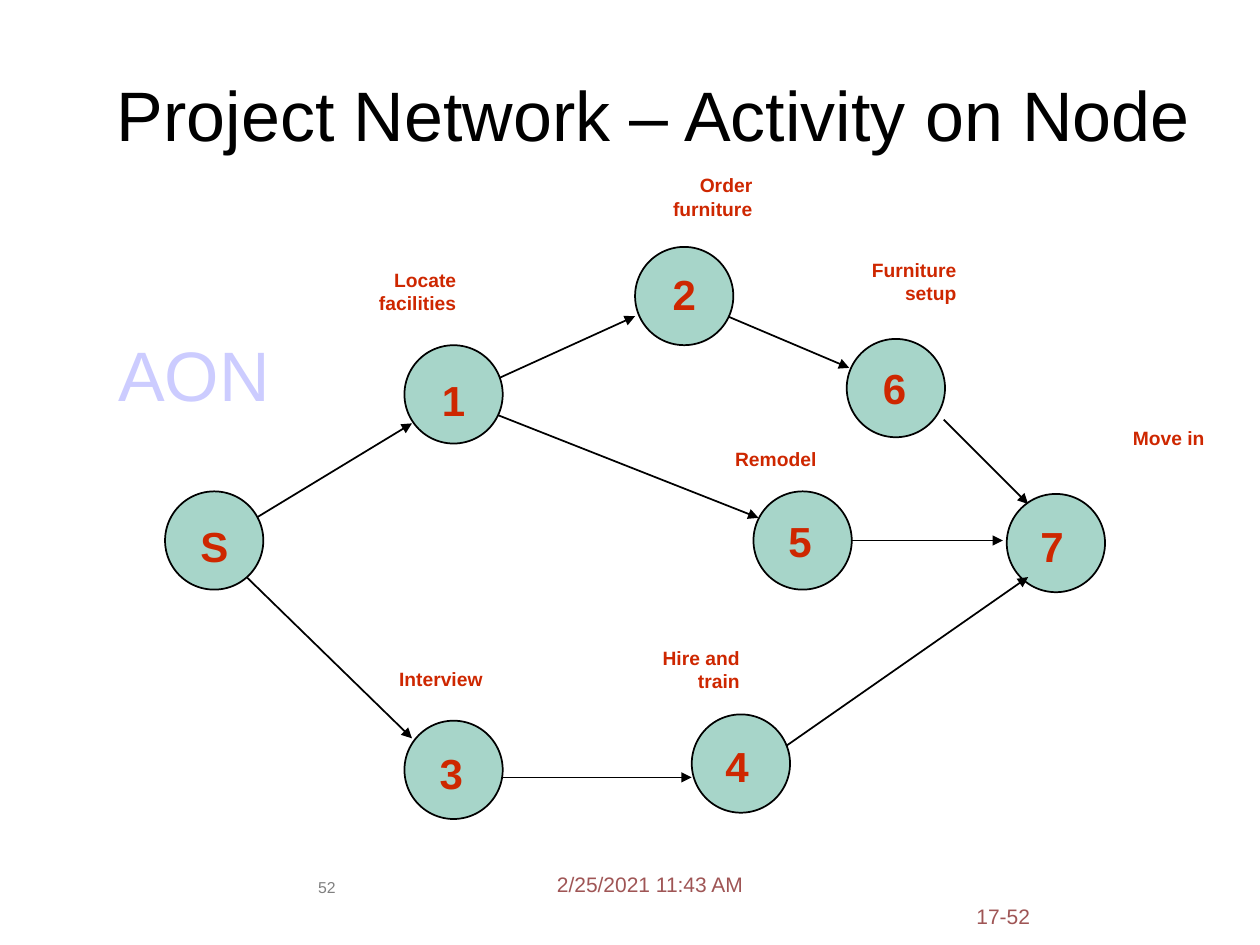
from pptx import Presentation
from pptx import util as u
from pptx.dml.color import RGBColor
from pptx.enum import shapes, text
from pptx.oxml.ns import qn
from lxml import etree

COLORS = {"black": "000000", "node": "A7D5C9", "label": "CE2700",
          "footer": "9F5555", "page": "808080", "aon": "CCCCFF"}
FONT = "Arial"
DIAMETER = 0.78
LABEL_WIDTH = 1.1
RIGHT, CENTER, LEFT = text.PP_ALIGN.RIGHT, text.PP_ALIGN.CENTER, text.PP_ALIGN.LEFT

TITLE = "Project Network – Activity on Node"
FOOTERS = [
    ("2/25/2021 11:43 AM", (4.42, 6.92, 1.67, 0.25), 12, "footer", LEFT),
    ("52", (2.4, 6.97, 0.39, 0.34), 9, "page", CENTER),
    ("17-52", (7.75, 7.17, 2.33, 0.25), 12, "footer", LEFT),
]
NODES = [
    ("S", (1.31, 3.9), (1.49, 4.08)),
    ("1", (3.21, 2.74), (3.41, 2.92)),
    ("2", (5.04, 1.96), (5.24, 2.08)),
    ("3", (3.21, 5.72), (3.39, 5.88)),
    ("4", (5.49, 5.67), (5.66, 5.83)),
    ("5", (5.98, 3.9), (6.16, 4.04)),
    ("6", (6.72, 2.69), (6.91, 2.83)),
    ("7", (7.99, 3.92), (8.16, 4.08)),
]
ACTIVITIES = [
    (["Locate", "facilities"], 3.72, 2.08),
    (["Order", "furniture"], 6.07, 1.33),
    (["Furniture", "setup"], 7.69, 2.0),
    (["Interview"], 3.93, 5.25),
    (["Remodel"], 6.58, 3.5),
    (["Hire and", "train"], 5.97, 5.08),
    (["Move in"], 9.66, 3.33),
]
ARROWS_BEHIND = [
    ((5.49, 2.39), (6.74, 2.92)),
    ((3.61, 3.16), (6.02, 4.11)),
    ((6.36, 4.29), (7.96, 4.29)),
    ((1.67, 4.3), (3.27, 5.86)),
    ((3.61, 3.16), (5.04, 2.51)),
    ((1.72, 4.3), (3.27, 3.36)),
]
ARROWS_FRONT = [
    ((3.99, 6.17), (5.49, 6.17)),
    ((6.24, 5.92), (8.16, 4.58)),
    ((7.49, 3.33), (8.16, 4.0)),
]


def rgb(name):
    return RGBColor.from_string(COLORS[name])


def add_text(s, lines, box, size, color, align=LEFT, bold=False, wrap=False, inset=True):
    tf = s.shapes.add_textbox(*map(u.Inches, box)).text_frame
    tf.word_wrap = wrap
    if not inset:
        tf.margin_left = tf.margin_right = tf.margin_top = tf.margin_bottom = 0
    p = tf.paragraphs[0]
    p.alignment = align
    for i, line in enumerate(lines):
        if i:
            p.add_line_break()
        r = p.add_run()
        r.text = line
        r.font.name = FONT
        r.font.size = u.Pt(size)
        r.font.bold = bold
        r.font.color.rgb = rgb(color)
    return tf


def add_arrow(s, start, end):
    c = s.shapes.add_connector(shapes.MSO_CONNECTOR.STRAIGHT, *map(u.Inches, start + end))
    c.line.color.rgb = rgb("black")
    c.line.width = u.Pt(1)
    props = c._element.spPr
    etree.SubElement(props.find(qn("a:ln")), qn("a:tailEnd"), type="triangle")
    etree.SubElement(props, qn("a:effectLst"))


def add_circle(s, left, top):
    sp = s.shapes.add_shape(shapes.MSO_SHAPE.OVAL,
                            *map(u.Inches, (left, top, DIAMETER, DIAMETER)))
    sp.shadow.inherit = False
    sp.fill.solid()
    sp.fill.fore_color.rgb = rgb("node")
    sp.line.color.rgb = rgb("black")
    sp.line.width = u.Pt(1)


def main():
    prs = Presentation()
    prs.slide_width, prs.slide_height = u.Inches(10), u.Inches(7.5)
    s = prs.slides.add_slide(prs.slide_layouts[6])

    for words, box, size, color, align in FOOTERS:
        add_text(s, [words], box, size, color, align, wrap=True, inset=False)

    tf = add_text(s, [TITLE], (0.83, 0.42, 8.83, 0.86), 40, "black", wrap=True)
    tf.vertical_anchor = text.MSO_ANCHOR.BOTTOM
    tf.paragraphs[0].line_spacing = 1.25

    for start, end in ARROWS_BEHIND:
        add_arrow(s, start, end)
    for name, circle, (left, top) in NODES:
        add_circle(s, *circle)
        width = 0.42 if name == "S" else 0.38
        add_text(s, [name], (left, top, width, 0.5), 24, "label", RIGHT, bold=True)
    for lines, right, top in ACTIVITIES:
        box = (right - LABEL_WIDTH, top, LABEL_WIDTH, 0.1 + 0.18 * len(lines))
        add_text(s, lines, box, 11, "label", RIGHT, bold=True, wrap=True)
    for start, end in ARROWS_FRONT:
        add_arrow(s, start, end)

    add_text(s, ["AON"], (0.82, 2.58, 1.42, 0.77), 40, "aon", RIGHT)
    prs.save("out.pptx")


if __name__ == "__main__":
    main()
